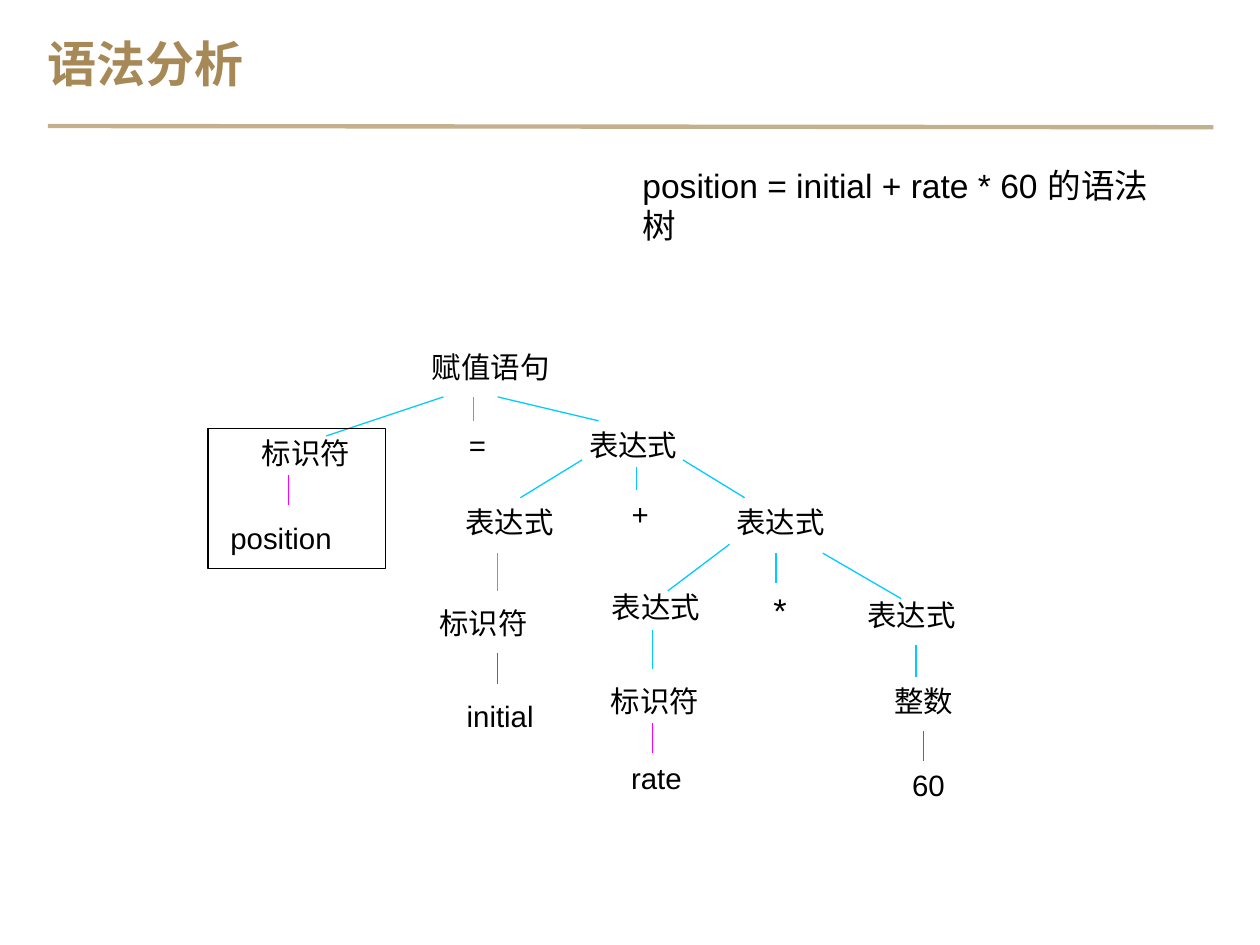
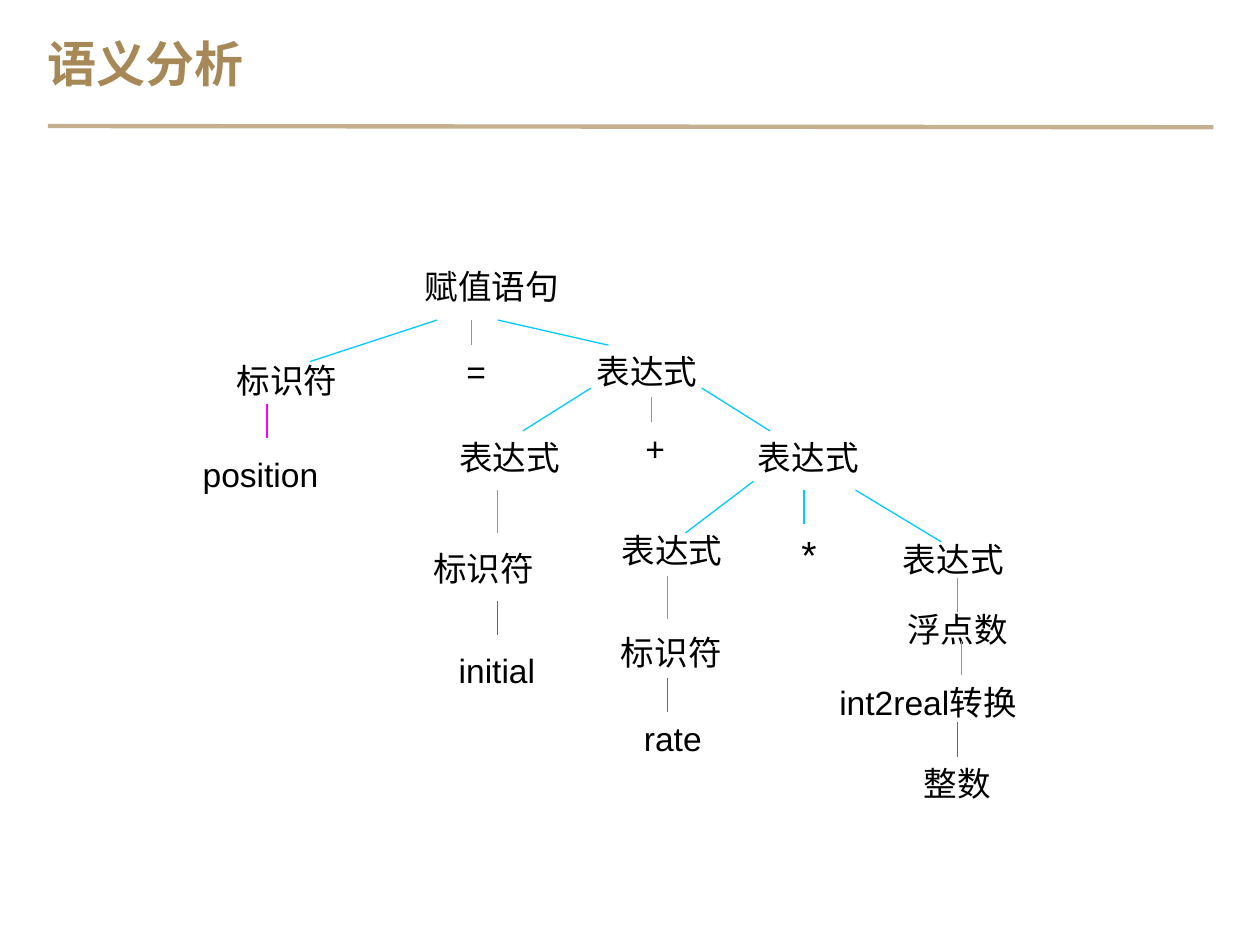
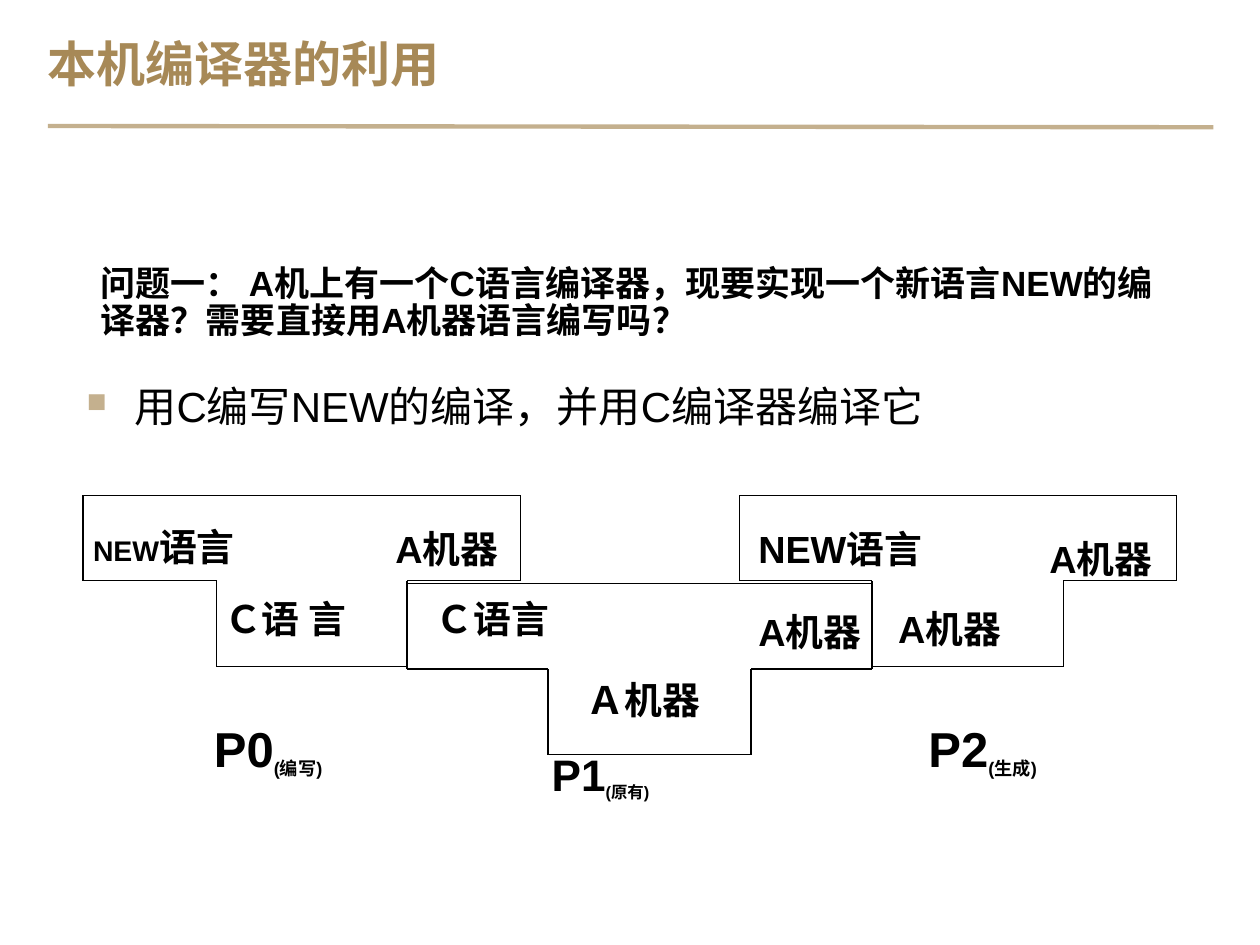
"""Build three compiler slides: a syntax tree, a semantic tree and T-diagrams."""
from dataclasses import dataclass
from itertools import pairwise

from lxml import etree
from pptx import Presentation
from pptx import util as u
from pptx.dml.color import RGBColor
from pptx.enum import shapes, text
from pptx.oxml.ns import qn

PX = 9144
FONT = "Arial"
BLACK, GOLD, SAND = "000000", "A78957", "C4B08E"
BRANCH, LEAF = "00CCFF", "FF00FF"
LEFT, CENTER = text.PP_ALIGN.LEFT, text.PP_ALIGN.CENTER


@dataclass(frozen=True)
class Label:
    """A text box; tail is a second run in its own size."""
    words: str
    left: int
    top: int
    width: int
    height: int
    size: float
    align: text.PP_ALIGN = LEFT
    bold: bool = False
    color: str = BLACK
    wrap: bool = True
    inset: int | None = None
    spacing: float | None = None
    tail: str = ""
    tail_size: float = 0
    subscript: bool = False


@dataclass(frozen=True)
class Edge:
    """A straight line between two points."""
    x1: int
    y1: int
    x2: int
    y2: int
    color: str = BRANCH
    weight: float = 0.75


@dataclass(frozen=True)
class TDiagram:
    """The T-shaped outline of one compiler."""
    left: int
    top: int
    stem_left: int
    stem_right: int
    right: int
    arm: int = 68

    def edges(self) -> list[Edge]:
        """Return the eight sides of the outline."""
        middle, bottom = self.top + self.arm, self.top + 2 * self.arm
        corners = [(self.left, self.top), (self.right, self.top),
                   (self.right, middle), (self.stem_right, middle),
                   (self.stem_right, bottom), (self.stem_left, bottom),
                   (self.stem_left, middle), (self.left, middle),
                   (self.left, self.top)]
        return [Edge(*start, *end, BLACK) for start, end in pairwise(corners)]


def rgb(value: str) -> RGBColor:
    """Turn a hex string into a colour."""
    return RGBColor.from_string(value)


def format_run(run, label: Label, size: float) -> None:
    """Apply the font of a label to a run."""
    run.font.name, run.font.size = FONT, u.Pt(size)
    run.font.bold, run.font.color.rgb = label.bold, rgb(label.color)


def draw_label(slide, label: Label):
    """Draw a label and return its box."""
    box = slide.shapes.add_textbox(*(PX * side for side in (
        label.left, label.top, label.width, label.height)))
    frame = box.text_frame
    frame.word_wrap = label.wrap
    if label.inset is not None:
        frame.margin_left = frame.margin_right = PX * label.inset
        frame.margin_top = frame.margin_bottom = PX * label.inset
    paragraph = frame.paragraphs[0]
    paragraph.text = label.words
    paragraph.alignment = label.align
    if label.spacing:
        paragraph.line_spacing = label.spacing
    format_run(paragraph.runs[0], label, label.size)
    if label.tail:
        tail = paragraph.add_run()
        tail.text = label.tail
        format_run(tail, label, label.tail_size)
        if label.subscript:
            tail.font._element.set("baseline", "-25000")
    return box


def draw_edge(slide, edge: Edge):
    """Draw an edge without shadow and return it."""
    line = slide.shapes.add_connector(
        shapes.MSO_CONNECTOR.STRAIGHT,
        *(PX * end for end in (edge.x1, edge.y1, edge.x2, edge.y2)))
    line.line.color.rgb = rgb(edge.color)
    line.line.width = u.Pt(edge.weight)
    etree.SubElement(line._element.spPr, qn("a:effectLst"))
    return line


def join_edge(line, boxes: list) -> None:
    """Join a line to every box whose side middle it touches."""
    for box in boxes:
        center_x, center_y = box.left + box.width // 2, box.top + box.height // 2
        sites = [(center_x, box.top), (box.left, center_y),
                 (center_x, box.top + box.height), (box.left + box.width, center_y)]
        for site, (x, y) in enumerate(sites):
            if max(abs(line.begin_x - x), abs(line.begin_y - y)) <= PX:
                line.begin_connect(box, site)
            if max(abs(line.end_x - x), abs(line.end_y - y)) <= PX:
                line.end_connect(box, site)


def add_slide(deck, title: str):
    """Add a blank slide with the shared title and rule."""
    slide = deck.slides.add_slide(deck.slide_layouts[6])
    draw_edge(slide, Edge(38, 100, 963, 101, SAND, 2.5))
    heading = draw_label(slide, Label(title, 38, 25, 925, 50, 28, bold=True,
                                      color=GOLD, inset=0))
    heading.text_frame.vertical_anchor = text.MSO_ANCHOR.MIDDLE
    return slide


def draw_tree(slide, nodes: list[tuple], branches: list[tuple],
              leaves: list[tuple], height: int, size: float) -> None:
    """Draw the nodes of a tree, then its branch and leaf lines."""
    boxes = []
    for words, left, top, width, align in nodes:
        star = words == "*"
        boxes.append(draw_label(slide, Label(
            words, left, top, width, height + 6 * star,
            round(size * 7 / 6, 1) if star else size, align)))
    for color, ends in ((BRANCH, branches), (LEAF, leaves)):
        for points in ends:
            join_edge(draw_edge(slide, Edge(*points, color)), boxes)


def indent(paragraph, margin: int, first: int = 0) -> None:
    """Set the left margin and first-line indent of a paragraph."""
    properties = paragraph._p.get_or_add_pPr()
    properties.set("marL", str(PX * margin))
    properties.set("indent", str(PX * first))


def add_bullet(paragraph) -> None:
    """Give a paragraph a small sand-coloured square bullet."""
    properties = paragraph._p.get_or_add_pPr()
    color = etree.SubElement(properties, qn("a:buClr"))
    etree.SubElement(color, qn("a:srgbClr"), val=SAND)
    etree.SubElement(properties, qn("a:buSzPct"), val="65000")
    etree.SubElement(properties, qn("a:buChar"), char="■")


SYNTAX_NODES = [
    ("赋值语句", 333, 272, 129, LEFT), ("标识符", 198, 340, 105, LEFT),
    ("=", 333, 334, 92, CENTER), ("表达式", 450, 334, 105, CENTER),
    ("+", 462, 389, 92, CENTER), ("表达式", 352, 395, 105, CENTER),
    ("表达式", 567, 395, 105, CENTER), ("标识符", 339, 475, 111, LEFT),
    ("*", 573, 463, 92, CENTER), ("表达式", 468, 463, 105, CENTER),
    ("表达式", 671, 469, 105, CENTER), ("position", 173, 408, 129, LEFT),
    ("initial", 345, 549, 104, CENTER), ("标识符", 475, 537, 105, LEFT),
    ("rate", 481, 598, 80, CENTER), ("整数", 690, 537, 86, CENTER),
    ("60", 714, 604, 62, LEFT),
]
SYNTAX_BRANCHES = [
    (352, 315, 259, 346), (376, 315, 376, 334), (395, 315, 475, 334),
    (462, 365, 413, 395), (542, 365, 591, 395), (505, 371, 505, 389),
    (395, 439, 395, 469), (579, 432, 530, 469), (518, 500, 518, 531),
    (616, 439, 616, 463), (653, 439, 715, 475), (727, 512, 727, 537),
]
SYNTAX_LEAVES = [(229, 377, 229, 401), (395, 518, 395, 543),
                 (518, 574, 518, 598), (733, 580, 733, 604)]

SEMANTIC_NODES = [
    ("赋值语句", 327, 206, 142, LEFT), ("标识符", 178, 281, 115, LEFT),
    ("=", 327, 274, 102, CENTER), ("表达式", 456, 274, 115, CENTER),
    ("+", 469, 335, 102, CENTER), ("表达式", 347, 342, 115, CENTER),
    ("表达式", 584, 342, 115, CENTER), ("标识符", 334, 430, 122, LEFT),
    ("*", 591, 416, 102, CENTER), ("表达式", 476, 416, 115, CENTER),
    ("表达式", 699, 423, 115, CENTER), ("position", 151, 355, 152, LEFT),
    ("initial", 341, 511, 107, CENTER), ("标识符", 483, 497, 115, LEFT),
    ("rate", 490, 565, 88, CENTER), ("整数", 713, 601, 94, CENTER),
    ("int2real转换", 624, 536, 225, CENTER), ("浮点数", 699, 478, 122, CENTER),
]
SEMANTIC_BRANCHES = [
    (347, 254, 246, 287), (374, 254, 374, 274), (395, 254, 483, 274),
    (469, 308, 415, 342), (557, 308, 611, 342), (517, 315, 517, 335),
    (395, 389, 395, 423), (598, 382, 544, 423), (530, 457, 530, 491),
    (638, 389, 638, 416), (679, 389, 747, 430), (760, 459, 760, 486),
    (763, 509, 763, 536),
]
SEMANTIC_LEAVES = [(212, 321, 212, 348), (395, 477, 395, 504),
                   (530, 538, 530, 565), (760, 573, 760, 601)]

COMPILERS = [TDiagram(323, 463, 435, 596, 692), TDiagram(587, 393, 692, 844, 934),
             TDiagram(66, 393, 172, 323, 413)]
LANGUAGES = [
    ("Ｃ语言", 336, 468, 118), ("Ａ机器", 456, 532, 118), ("A机器", 592, 478, 112),
    ("NEW语言", 592, 412, 166), ("A机器", 703, 476, 112), ("A机器", 823, 420, 112),
    ("Ｃ语 言", 168, 468, 134), ("A机器", 304, 412, 112),
]
PROGRAMS = [
    Label("P1", 428, 584, 112, 61, 25.2, bold=True, spacing=1.1,
          tail="(原有)", tail_size=16.2, subscript=True),
    Label("P2", 727, 570, 128, 59, 28, bold=True, spacing=0.9,
          tail="(生成)", tail_size=18, subscript=True),
    Label("P0", 160, 570, 136, 59, 28, bold=True, spacing=0.9,
          tail="(编写)", tail_size=18, subscript=True),
    Label("NEW", 64, 411, 146, 48, 16.2, bold=True, wrap=False,
          tail="语言", tail_size=21.6),
]


def build_syntax(deck) -> None:
    """Build the syntax analysis slide."""
    slide = add_slide(deck, "语法分析")
    draw_tree(slide, SYNTAX_NODES, SYNTAX_BRANCHES, SYNTAX_LEAVES, 39, 16.8)
    draw_label(slide, Label("position = initial + rate * 60 的语法树",
                            500, 126, 445, 71, 19.2))
    frame = slide.shapes.add_shape(shapes.MSO_SHAPE.RECTANGLE,
                                   *(PX * side for side in (165, 340, 141, 111)))
    frame.shadow.inherit = False
    frame.fill.background()
    frame.line.color.rgb = rgb(BLACK)
    frame.line.width = u.Pt(0.75)


def build_semantics(deck) -> None:
    """Build the semantic analysis slide."""
    slide = add_slide(deck, "语义分析")
    draw_tree(slide, SEMANTIC_NODES, SEMANTIC_BRANCHES, SEMANTIC_LEAVES, 43, 19.2)


def build_compilers(deck) -> None:
    """Build the slide on using the native compiler."""
    slide = add_slide(deck, "本机编译器的利用")
    question = draw_label(slide, Label(
        "问题一： A机上有一个C语言编译器，现要实现一个新语言NEW的编译器？需要直接用A机器语言编写吗？",
        65, 206, 876, 99, 20, bold=True, inset=5, spacing=0.9))
    indent(question.text_frame.paragraphs[0], 10)
    for compiler in COMPILERS:
        for edge in compiler.edges():
            draw_edge(slide, edge)
    for words, left, top, width in LANGUAGES:
        draw_label(slide, Label(words, left, top, width, 48, 21.6,
                                bold=True, wrap=False))
    for program in PROGRAMS:
        draw_label(slide, program)
    answer = draw_label(slide, Label("用C编写NEW的编译，并用C编译器编译它",
                                     59, 297, 876, 60, 24))
    indent(answer.text_frame.paragraphs[0], 38, -38)
    add_bullet(answer.text_frame.paragraphs[0])


def main() -> None:
    """Build and save the deck."""
    deck = Presentation()
    deck.slide_width, deck.slide_height = PX * 1000, PX * 750
    build_syntax(deck)
    build_semantics(deck)
    build_compilers(deck)
    deck.save("out.pptx")


if __name__ == "__main__":
    main()
